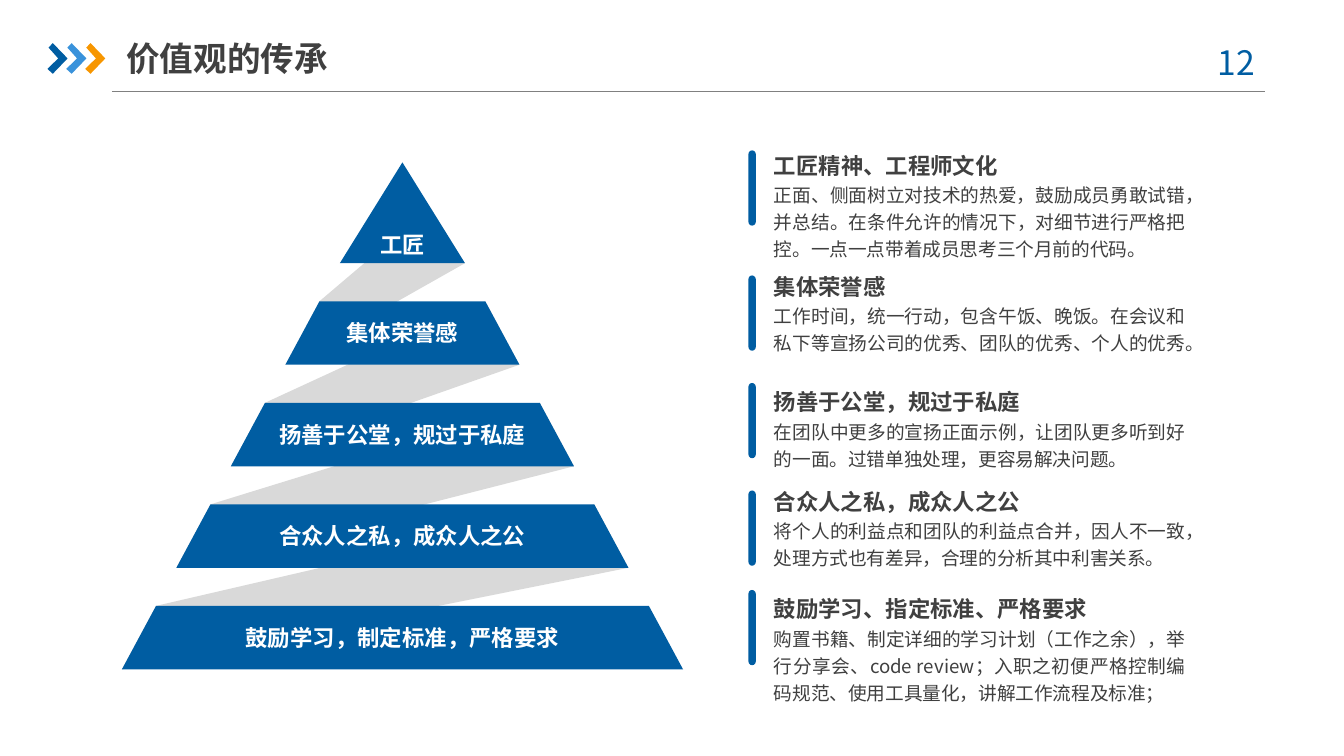
from lxml.etree import SubElement
from pptx import Presentation
from pptx.dml.color import RGBColor
from pptx.enum.shapes import MSO_CONNECTOR, MSO_SHAPE
from pptx.enum.text import MSO_ANCHOR as Anchor, MSO_AUTO_SIZE as AutoSize, PP_ALIGN as Align
from pptx.oxml.ns import qn
from pptx.util import Pt

FONT = "Noto Sans CJK SC"
COLORS = {
    "blue": "005DA2", "sky": "3992DB", "orange": "F79600", "ribbon": "D9D9D9",
    "text": "404040", "rule": "808080", "white": "FFFFFF",
}

# Pyramid measures, in points
CENTER_X = 215.6
FIRST_BOTTOM, BOTTOM_STEP = 141, 54.4
FIRST_HALF, HALF_STEP = 33.5, 29.2
TIP_HEIGHT, TIER_HEIGHT, TIER_INSET = 54, 34, 18.3
TIERS = ["工匠", "集体荣誉感", "扬善于公堂，规过于私庭",
         "合众人之私，成众人之公", "鼓励学习，制定标准，严格要求"]

# Bar top, heading top, heading, explanation, number of lines
NOTES = [
    (80.6, 79.9, "工匠精神、工程师文化",
     "正面、侧面树立对技术的热爱，鼓励成员勇敢试错，并总结。在条件允许的情况下，"
     "对细节进行严格把控。一点一点带着成员思考三个月前的代码。", 3),
    (147.6, 144.7, "集体荣誉感",
     "工作时间，统一行动，包含午饭、晚饭。在会议和私下等宣扬公司的优秀、"
     "团队的优秀、个人的优秀。", 2),
    (205.2, 206.6, "扬善于公堂，规过于私庭",
     "在团队中更多的宣扬正面示例，让团队更多听到好的一面。过错单独处理，"
     "更容易解决问题。", 2),
    (262.8, 259.9, "合众人之私，成众人之公",
     "将个人的利益点和团队的利益点合并，因人不一致，处理方式也有差异，"
     "合理的分析其中利害关系。", 2),
    (316.1, 317.5, "鼓励学习、指定标准、严格要求",
     "购置书籍、制定详细的学习计划（工作之余），举行分享会、code review；"
     "入职之初便严格控制编码规范、使用工具量化，讲解工作流程及标准；", 3),
]


def rgb(name):
    return RGBColor.from_string(COLORS[name])


def paint(shape, color):
    shape.shadow.inherit = False
    shape.fill.solid()
    shape.fill.fore_color.rgb = rgb(color)
    shape.line.fill.background()


def write(box, text, size=12, color="text", bold=False, align=Align.LEFT,
          anchor=Anchor.TOP, insets=(0, 0), wrap=True, spacing=1.0, fit=AutoSize.NONE):
    frame = box.text_frame
    frame.word_wrap, frame.auto_size = wrap, fit
    frame.vertical_anchor = anchor
    frame.margin_left = frame.margin_right = Pt(insets[0])
    frame.margin_top = frame.margin_bottom = Pt(insets[1])
    para = frame.paragraphs[0]
    para.alignment, para.line_spacing = align, spacing
    span = para.add_run()
    span.text = text
    font = span.font
    font.size, font.bold = Pt(size), bold
    font.color.rgb = rgb(color)
    font.name = FONT
    SubElement(font._element, qn("a:ea"), typeface=FONT)


def add_text(page, left, top, width, height, text, **style):
    box = page.shapes.add_textbox(Pt(left), Pt(top), Pt(width), Pt(height))
    write(box, text, **style)


def add_polygon(page, points, color):
    start, *rest = [(Pt(x), Pt(y)) for x, y in points]
    builder = page.shapes.build_freeform(*start)
    builder.add_line_segments(rest, close=True)
    paint(builder.convert_to_shape(), color)


def add_header(page):
    # Rule below the title
    rule = page.shapes.add_connector(
        MSO_CONNECTOR.STRAIGHT, Pt(60), Pt(49.2), Pt(677.5), Pt(49.2))
    rule.line.color.rgb = rgb("rule")
    rule.line.width = Pt(0.75)
    SubElement(rule._element.spPr, qn("a:effectLst"))

    # Chevrons
    chevron = [(0.6, 2.4), (2.9, 0), (10.8, 8.2), (2.9, 16.4), (0, 13.8), (5.8, 8.2)]
    for index, color in enumerate(("blue", "sky", "orange")):
        left = 25.4 + 10.1 * index
        add_polygon(page, [(left + x, 23.1 + y) for x, y in chevron], color)

    # Title and page number
    title = page.shapes.title
    title.left, title.top, title.width, title.height = Pt(67.7), Pt(15.8), Pt(167.8), Pt(30.2)
    write(title, "价值观的传承", size=18, bold=True, anchor=Anchor.MIDDLE, insets=(0, 3.6))
    add_text(page, 636, 18.7, 52.6, 28.8, "12", size=18, color="blue",
             align=Align.CENTER, insets=(7.2, 3.6))


def tier_measures(index):
    """Bottom edge, half of the base, inset of the top corner and height."""
    bottom = FIRST_BOTTOM + BOTTOM_STEP * index
    half = FIRST_HALF + HALF_STEP * index
    if index == 0:
        return bottom, half, half, TIP_HEIGHT
    return bottom, half, TIER_INSET, TIER_HEIGHT


def add_ribbon(page, index):
    """Band from the right side of one tier to the left side of the next."""
    bottom, half, inset, height = tier_measures(index)
    rise = 30 if index == 0 else height
    right = CENTER_X + half
    next_bottom, next_half, next_inset, next_height = tier_measures(index + 1)
    left = CENTER_X - next_half
    add_polygon(page, [
        (right - inset * rise / height, bottom - rise),
        (left + next_inset, next_bottom - next_height),
        (left, next_bottom), (right, bottom)], "ribbon")


def add_tier(page, index, label):
    bottom, half, inset, height = tier_measures(index)
    left, right, top = CENTER_X - half, CENTER_X + half, bottom - height
    corners = [(left, bottom), (left + inset, top), (right, bottom)]
    if index:
        corners.insert(2, (right - inset, top))
    add_polygon(page, corners, "blue")
    label_half = half - inset if index else half
    middle = bottom - (TIER_HEIGHT / 2 if index else 9.7)
    add_text(page, CENTER_X - label_half, middle - 14, 2 * label_half, 28, label,
             color="white", bold=True, align=Align.CENTER, anchor=Anchor.MIDDLE)


def add_note(page, bar_top, top, heading, body, lines):
    bar = page.shapes.add_shape(
        MSO_SHAPE.ROUND_2_SAME_RECTANGLE, Pt(401), Pt(bar_top), Pt(3.9), Pt(40.3))
    bar.adjustments[0] = bar.adjustments[1] = 0.5
    paint(bar, "blue")
    common = {"insets": (2.8, 1.4), "fit": AutoSize.SHAPE_TO_FIT_TEXT}
    add_text(page, 411.8, top + 15.1, 226, 2.8 + 14.4 * lines, body,
             size=10, align=Align.JUSTIFY, spacing=1.2, **common)
    add_text(page, 411.8, top, 12 * len(heading) + 5.6, 17.3, heading,
             bold=True, wrap=False, **common)


def main():
    deck = Presentation()
    deck.slide_width, deck.slide_height = Pt(720), Pt(405)
    page = deck.slides.add_slide(deck.slide_layouts[5])
    add_header(page)

    # Pyramid: ribbons lie behind the tiers
    for index in range(len(TIERS) - 1):
        add_ribbon(page, index)
    for index, label in enumerate(TIERS):
        add_tier(page, index, label)

    # Explanations on the right
    for note in NOTES:
        add_note(page, *note)
    deck.save("out.pptx")


if __name__ == "__main__":
    main()
